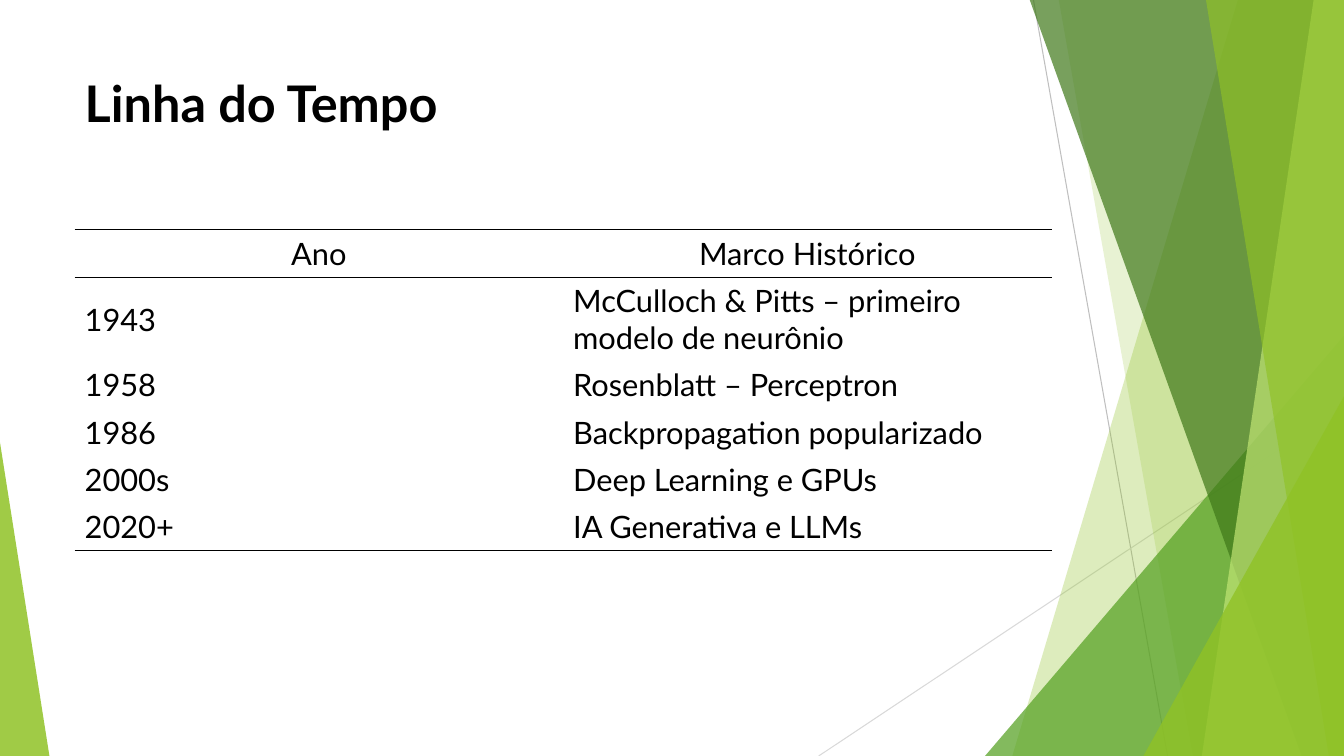
from lxml import etree
from pptx import Presentation, util as u
from pptx.dml.color import RGBColor
from pptx.enum import shapes, text
from pptx.oxml import ns

WIDE, HIGH, TOP = 13.33, 7.5, -0.01


def hue(code):
    return RGBColor.from_string(code)


def sub(node, tag, **attrs):
    return etree.SubElement(node, ns.qn(tag), attrs)


def put(item, vals):
    for key, val in vals.items():
        setattr(item, key, val)


class Deck:
    font = {"name": "Lato", "bold": False}
    ink = "000000"

    def __init__(self):
        self.prs = Presentation()
        put(self.prs, {"slide_width": u.Inches(WIDE), "slide_height": u.Inches(HIGH)})
        self.slide = self.prs.slides.add_slide(self.prs.slide_layouts[5])
        self.shapes = self.slide.shapes

    def label(self, frame, words, align, **font):
        frame.text = words
        para = frame.paragraphs[0]
        para.alignment = align
        style = para.runs[0].font
        put(style, {**self.font, **font})
        style.color.rgb = hue(self.ink)

    def title(self, words, left, top, width, height):
        head = self.shapes.title
        box = {"left": left, "top": top, "width": width, "height": height}
        put(head, {key: u.Inches(val) for key, val in box.items()})
        put(head.text_frame, {"vertical_anchor": text.MSO_ANCHOR.TOP,
                              "word_wrap": True,
                              "auto_size": text.MSO_AUTO_SIZE.NONE})
        self.label(head.text_frame, words, text.PP_ALIGN.LEFT,
                   size=u.Pt(36), bold=True)

    def line(self, start, end, color):
        ends = [u.Inches(val) for val in (*start, *end)]
        line = self.shapes.add_connector(shapes.MSO_CONNECTOR.STRAIGHT, *ends)
        line.line.width = u.Pt(0.75)
        line.line.color.rgb = hue(color)
        sub(line._element.spPr, "a:effectLst")

    def paint(self, shape, color, alpha):
        shape.shadow.inherit = False
        shape.line.fill.background()
        shape.fill.solid()
        shape.fill.fore_color.rgb = hue(color)
        tone = shape._element.spPr.find(ns.qn("a:solidFill"))[0]
        sub(tone, "a:alpha", val=str(alpha * 1000))

    def facet(self, upper, lower, color, alpha):
        """Fill the area from a slanted left edge to the slide's right edge."""
        pts = [(upper, TOP), (WIDE, TOP), (WIDE, HIGH), (lower, HIGH)]
        pts = [(u.Inches(x), u.Inches(y)) for x, y in pts]
        form = self.shapes.build_freeform(*pts[0])
        form.add_line_segments(pts[1:])
        self.paint(form.convert_to_shape(), color, alpha)

    def wedge(self, left, top, width, tip, color, alpha):
        """Stand a triangle on the slide's bottom edge."""
        box = [u.Inches(val) for val in (left, top, width, HIGH - top)]
        shape = self.shapes.add_shape(shapes.MSO_SHAPE.ISOSCELES_TRIANGLE, *box)
        shape.adjustments[0] = tip
        self.paint(shape, color, alpha)

    def edges(self, cell, ruled):
        props = cell._tc.get_or_add_tcPr()
        for side in "LRTB":
            edge = sub(props, f"a:ln{side}", w=str(u.Pt(1)))
            if side in ruled:
                sub(sub(edge, "a:solidFill"), "a:srgbClr", val=self.ink)
            else:
                sub(edge, "a:noFill")

    def table(self, rows, left, top, width, highs):
        box = [u.Inches(val) for val in (left, top, width, sum(highs))]
        grid = self.shapes.add_table(len(rows), len(rows[0]), *box).table
        put(grid, {"first_row": False, "horz_banding": False})
        rules = {0: "TB", 1: "T", len(rows) - 1: "B"}
        for r, row in enumerate(rows):
            grid.rows[r].height = u.Inches(highs[r])
            align = text.PP_ALIGN.LEFT if r else text.PP_ALIGN.CENTER
            for c, words in enumerate(row):
                cell = grid.cell(r, c)
                self.edges(cell, rules.get(r, ""))
                cell.fill.background()
                cell.vertical_anchor = text.MSO_ANCHOR.MIDDLE
                self.label(cell.text_frame, words, align, size=u.Pt(22))


def main():
    deck = Deck()

    # Green backdrop, from back to front
    deck.line((10.25, 0), (11.58, HIGH), "BFBFBF")
    deck.line((WIDE, 4.03), (8.12, HIGH), "D9D9D9")
    deck.facet(12.28, 10.04, "90C226", 30)
    deck.facet(10.5, 11.83, "90C226", 20)
    deck.wedge(9.77, 3.33, 3.56, 1, "54A021", 72)
    deck.facet(10.21, 12.91, "3F7819", 70)
    deck.facet(13.03, 11.92, "C0E474", 70)
    deck.facet(11.96, 13.18, "90C226", 65)
    deck.wedge(11.34, 3.93, 1.99, 1, "90C226", 80)
    deck.wedge(0, 4.39, 0.49, 0, "90C226", 85)

    # Title
    deck.title("Linha do Tempo", 0.74, 0.67, 9.4, 1.44)

    # Timeline table
    marks = [
        ("Ano", "Marco Histórico"),
        ("1943", "McCulloch & Pitts – primeiro modelo de neurônio"),
        ("1958", "Rosenblatt – Perceptron"),
        ("1986", "Backpropagation popularizado"),
        ("2000s", "Deep Learning e GPUs"),
        ("2020+", "IA Generativa e LLMs"),
    ]
    deck.table(marks, 0.74, 2.28, 9.69, [0.47, 0.83] + [0.47] * 4)

    deck.prs.save("out.pptx")


if __name__ == "__main__":
    main()
